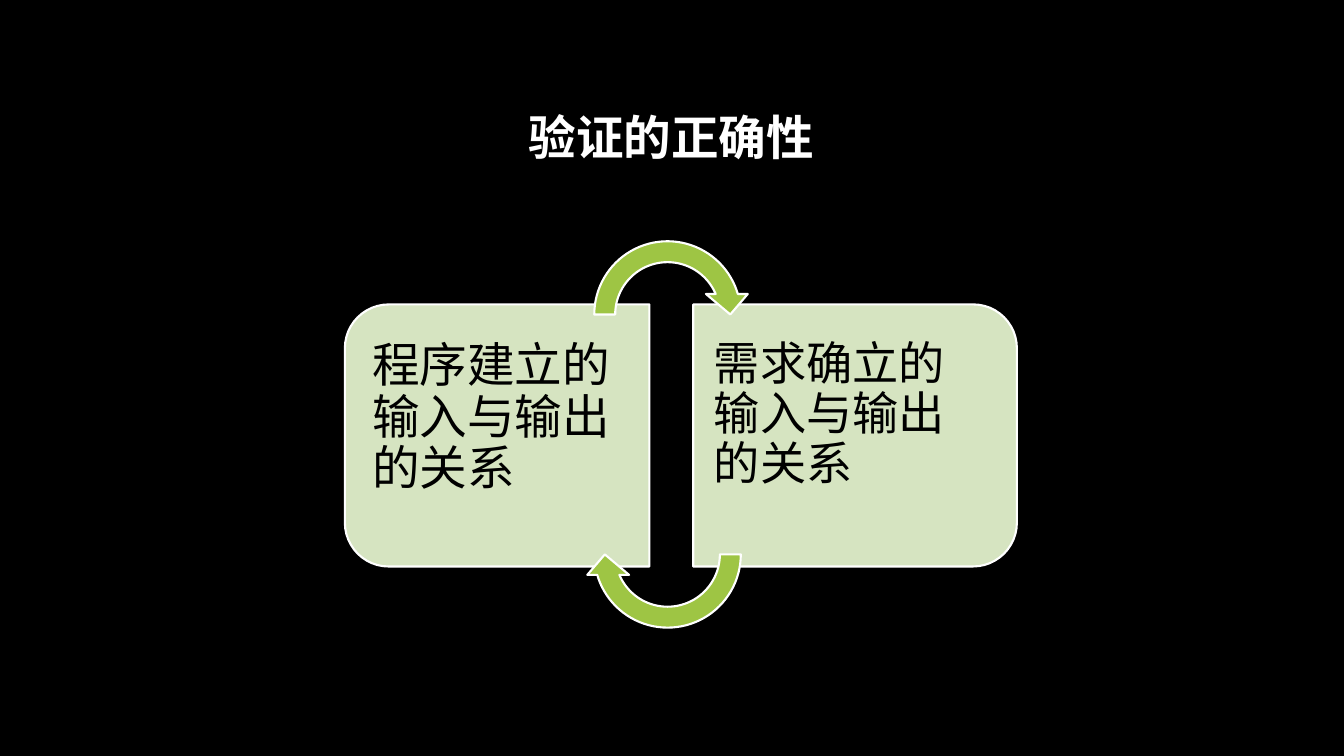
from dataclasses import dataclass

from pptx import Presentation
from pptx import util as u
from pptx.dml.color import RGBColor
from pptx.enum import shapes, text
from pptx.oxml.ns import qn
from lxml import etree


@dataclass(frozen=True)
class Theme:
    """Colours, font and type sizes of the slide."""
    back: str = "000000"
    light: str = "FFFFFF"
    ink: str = "000000"
    panel: str = "D6E4C1"
    arrow: str = "9EC544"
    font: str = "Roboto Slab"
    title: int = 34
    left: int = 34
    right: int = 33
    line: float = 1.5


T = Theme()


def part(box, x, y, w, h):
    """Return the part of a box given in percent of its size."""
    bx, by, bw, bh = box
    return (int(bx + bw * x / 100), int(by + bh * y / 100),
            int(bw * w / 100), int(bh * h / 100))


def add_text(s, box, words, size, color, insets=(0.1, 0.05, 0.1, 0.05),
             anchor=text.MSO_ANCHOR.TOP, align=text.PP_ALIGN.LEFT, bold=False):
    """Add a wrapped text box with one run."""
    tf = s.shapes.add_textbox(*box).text_frame
    tf.word_wrap = True
    tf.vertical_anchor = anchor
    tf.margin_left, tf.margin_top, tf.margin_right, tf.margin_bottom = map(u.Inches, insets)
    p = tf.paragraphs[0]
    p.alignment = align
    p.line_spacing = 0.9
    r = p.add_run()
    r.text = words
    r.font.size = u.Pt(size)
    r.font.bold = bold
    r.font.name = T.font
    r.font.color.rgb = RGBColor.from_string(color)
    etree.SubElement(r.font._element, qn("a:ea")).set("typeface", T.font)


def add_outlined(s, kind, box, fill, adjustments, rotation=0):
    """Add a preset shape that covers the box after its rotation."""
    x, y, w, h = box
    if rotation % 180:
        x, y, w, h = x + (w - h) // 2, y + (h - w) // 2, h, w
    sp = s.shapes.add_shape(kind, x, y, w, h)
    sp.rotation = rotation
    sp.shadow.inherit = False
    sp.fill.solid()
    sp.fill.fore_color.rgb = RGBColor.from_string(fill)
    sp.line.color.rgb = RGBColor.from_string(T.light)
    sp.line.width = u.Pt(T.line)
    for i, value in enumerate(adjustments):
        sp.adjustments[i] = value


def add_title(s, box):
    """Add the centred heading."""
    add_text(s, box, "验证的正确性", T.title, T.light, bold=True,
             anchor=text.MSO_ANCHOR.MIDDLE, align=text.PP_ALIGN.CENTER)


def add_cycle(s, box):
    """Add two facing panels joined by a pair of circular arrows."""
    panels = (
        ("程序建立的输入与输出的关系", T.left, 270, (0, 45.31), (1.95, 43.51),
         (0.14, 0.24, 0.21, 0.24)),
        ("需求确立的输入与输出的关系", T.right, 90, (51.84, 48.16), (51.76, 46.21),
         (0.21, 0.23, 0.14, 0.23)),
    )
    for words, size, rotation, (x, w), (text_x, text_w), insets in panels:
        add_outlined(s, shapes.MSO_SHAPE.ROUND_2_SAME_RECTANGLE,
                     part(box, x, 18.07, w, 64.36), T.panel, (0.167, 0), rotation)
        add_text(s, part(box, text_x, 21.29, text_w, 57.92), words, size, T.ink, insets)
    for y, rotation in ((0, 0), (58.91, 180)):
        add_outlined(s, shapes.MSO_SHAPE.CIRCULAR_ARROW, part(box, 35.56, y, 24.91, 41.09),
                     T.arrow, (0.125, 11.42, 204.58, 108, 0.125), rotation)


def main():
    """Build and save the slide."""
    prs = Presentation()
    prs.slide_width, prs.slide_height = u.Inches(13.33), u.Inches(7.5)
    s = prs.slides.add_slide(prs.slide_layouts[6])
    s.background.fill.solid()
    s.background.fill.fore_color.rgb = RGBColor.from_string(T.back)
    page = (0, 0, prs.slide_width, prs.slide_height)
    add_title(s, part(page, 7.5, 8.93, 84.92, 19.33))
    add_cycle(s, part(page, 25.66, 30.53, 50, 53.87))
    prs.save("out.pptx")


if __name__ == "__main__":
    main()
